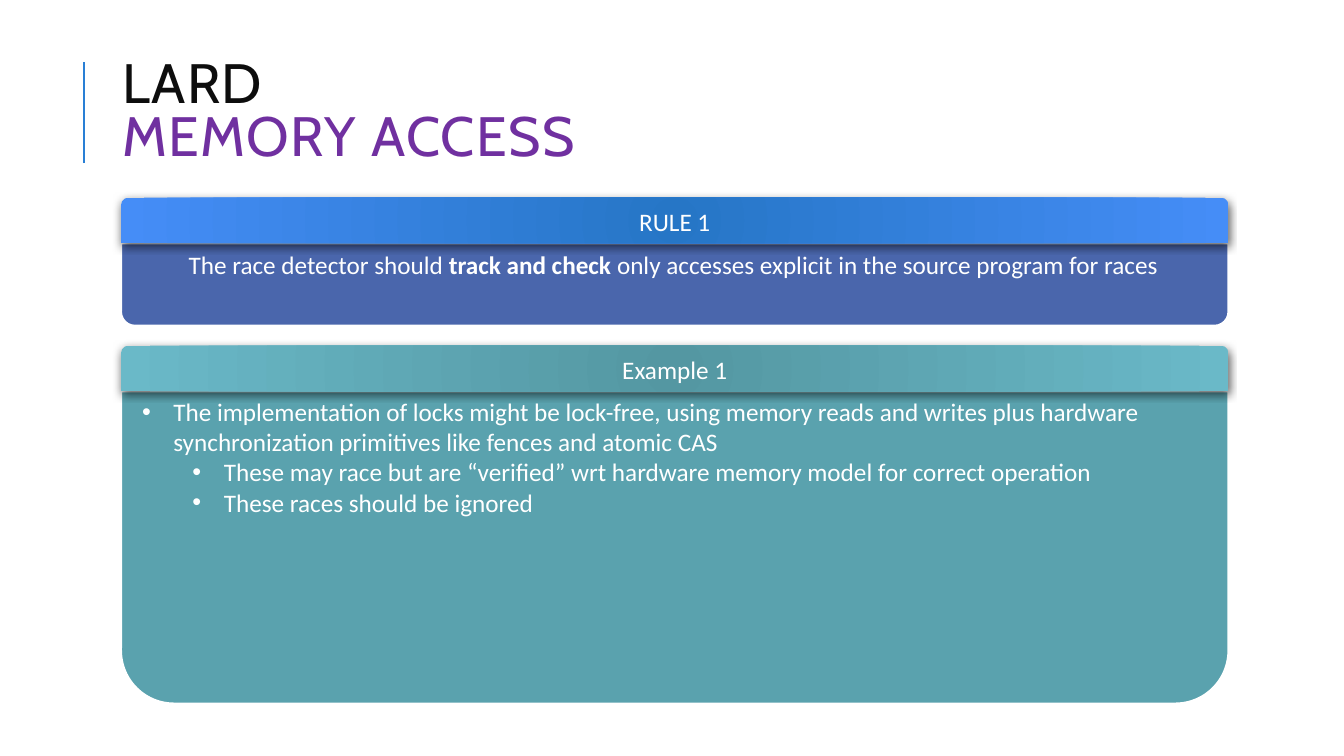
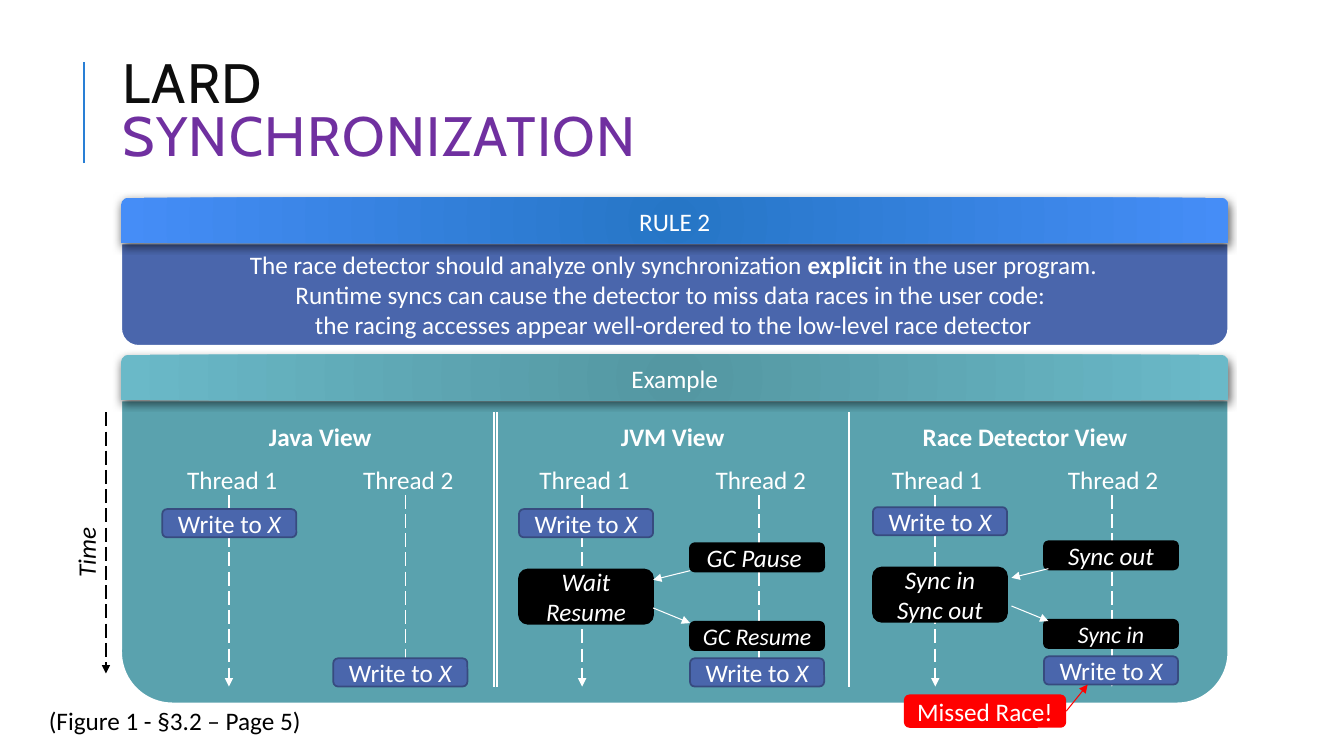
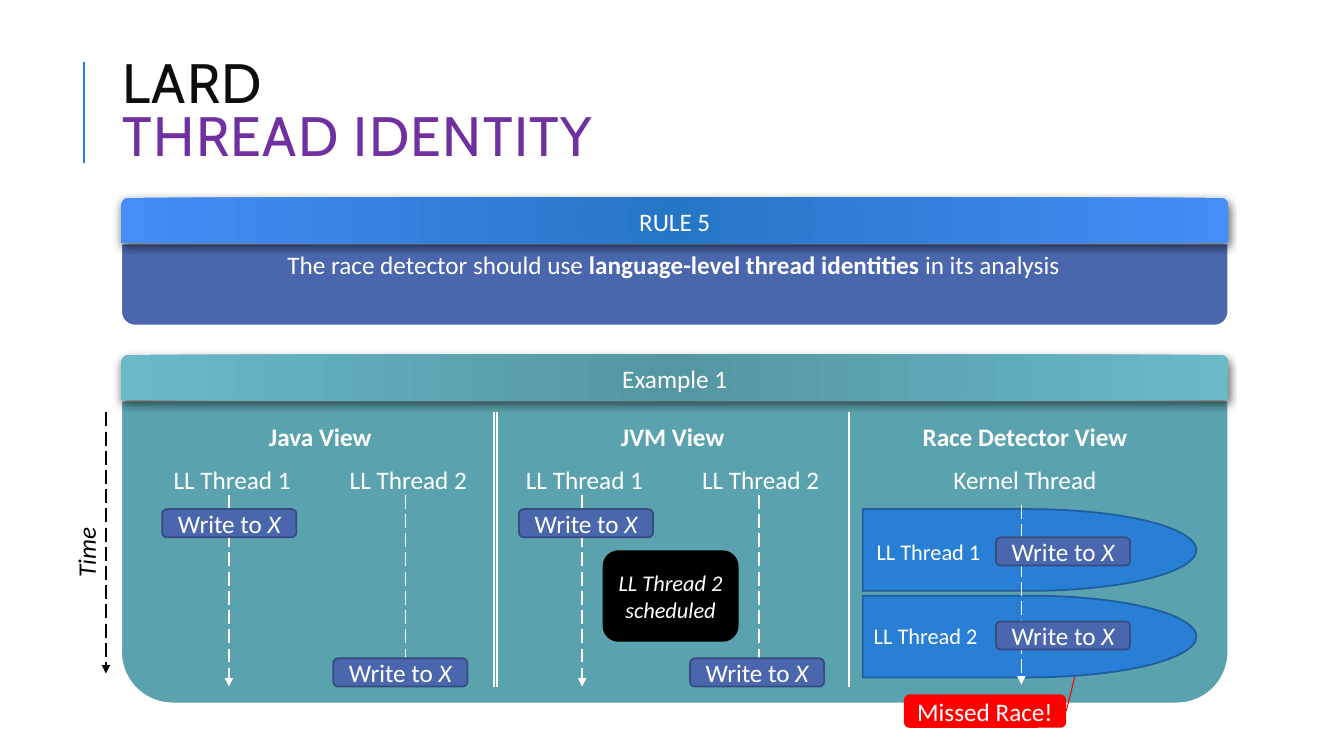
from dataclasses import dataclass

from lxml import etree
from pptx import Presentation
from pptx import util as u
from pptx.dml.color import RGBColor
from pptx.enum import dml, shapes, text
from pptx.oxml.ns import qn

CENTER, LEFT, RIGHT = text.PP_ALIGN.CENTER, text.PP_ALIGN.LEFT, text.PP_ALIGN.RIGHT
TOP, MIDDLE = text.MSO_ANCHOR.TOP, text.MSO_ANCHOR.MIDDLE
ROUNDED = shapes.MSO_SHAPE.ROUNDED_RECTANGLE
TOP_ROUNDED = shapes.MSO_SHAPE.ROUND_2_SAME_RECTANGLE
DELAY = shapes.MSO_SHAPE.FLOWCHART_DELAY
PLAIN_TABLE = "{2D5ABB26-0587-4C30-8999-92F81FD0307C}"


@dataclass(frozen=True)
class Theme:
    heading_font: str = "Cabin"
    body_font: str = "Calibri"
    heading_size: float = 39.6
    body_size: float = 18
    tight_size: float = 17
    small_size: float = 16
    white: str = "FFFFFF"
    black: str = "000000"
    heading: str = "0D0D0D"
    topic: str = "7030A0"
    accent: str = "297FD5"
    accent_edge: str = "1E5E9E"
    rule: str = "4A66AC"
    rule_edge: str = "374B7F"
    rule_band: tuple = ("2676C6", "458DF7")
    example: str = "5AA2AE"
    example_band: tuple = ("5497A2", "6AB9C8")
    alert: str = "FF0000"


T = Theme()
PANEL_LEFT, PANEL_WIDTH, PANEL_BOTTOM = 3.05, 27.91, 17.73
BAND_HEIGHT, RULE_TOP = 1.15, 4.98
TEXT_LEFT, TEXT_WIDTH = 3.33, 27.28
VIEW_TOP, VIEW_BOTTOM = 10.39, 17.3
VIEW_LEFTS = (4.09, 13.08, 22)
THREAD_GAP = 4.31
FIRST_TIMELINE, TIMELINE_STEP, TIMELINE_TOP = 5.77, 4.45, 12.47
COLUMN, ROW = 4.44, 1.09
EVENT_WIDTH, EVENT_HEIGHT = 3.38, 0.71
EARLY, LATE = 12.83, 16.59
BULLET_INDENT, LEVEL_STEP = 0.79, 1.27
WRITE = [["Write to ", ("X", {"italic": True})]]


def cm(*lengths):
    return [u.Cm(length) for length in lengths]


def write(frame, paragraphs, align=CENTER, spacing=None, levels=None, **style):
    for number, pieces in enumerate(paragraphs):
        paragraph = frame.paragraphs[0] if number == 0 else frame.add_paragraph()
        paragraph.alignment = align
        if spacing:
            paragraph.line_spacing = spacing
        if levels:
            add_bullet(paragraph, levels[number])
        for piece in [pieces] if isinstance(pieces, str) else pieces:
            if piece == "\n":
                paragraph.add_line_break()
                continue
            words, extra = (piece, {}) if isinstance(piece, str) else piece
            add_run(paragraph, words, **{**style, **extra})


def add_run(paragraph, words, size=T.body_size, font=T.body_font, color=T.white,
            bold=False, italic=False, tracking=0):
    run = paragraph.add_run()
    run.text = words
    run.font.size = u.Pt(size)
    run.font.name = font
    run.font.color.rgb = RGBColor.from_string(color)
    run.font.bold = bold
    run.font.italic = italic
    if tracking:
        run.font._element.set("spc", str(tracking * 100))


def add_bullet(paragraph, level):
    paragraph.level = level
    properties = paragraph._p.get_or_add_pPr()
    properties.set("marL", str(u.Cm(BULLET_INDENT + level * LEVEL_STEP)))
    properties.set("indent", str(-u.Cm(BULLET_INDENT)))
    etree.SubElement(properties, qn("a:buFont"), typeface="Arial")
    etree.SubElement(properties, qn("a:buChar"), char="•")


class Deck:
    def __init__(self):
        self.show = Presentation()
        self.show.slide_width, self.show.slide_height = cm(33.87, 19.05)
        self.slide = None

    def start(self, topic):
        self.slide = self.show.slides.add_slide(self.show.slide_layouts[6])
        self.line(2.11, 4.11, 2.11, 1.57, color=T.accent, width=1.5)
        self.label([["LARD", "\n", (topic, {"color": T.topic})]], 2.84, 1.63, 27, 2.49,
                   anchor=MIDDLE, grow=False, align=LEFT, spacing=0.8,
                   size=T.heading_size, font=T.heading_font, color=T.heading, tracking=1)

    def block(self, kind, left, top, width, height, fill, edge=None, weight=1.25,
              paragraphs=(), **style):
        block = self.slide.shapes.add_shape(kind, *cm(left, top, width, height))
        block.shadow.inherit = False
        block.fill.solid()
        block.fill.fore_color.rgb = RGBColor.from_string(fill)
        if edge:
            block.line.color.rgb = RGBColor.from_string(edge)
            block.line.width = u.Pt(weight)
        else:
            block.line.fill.background()
        block.text_frame.word_wrap = True
        block.text_frame.vertical_anchor = MIDDLE
        write(block.text_frame, paragraphs, **style)
        return block

    def label(self, paragraphs, left, top, width, height, anchor=TOP, grow=True,
              rotation=0, **style):
        label = self.slide.shapes.add_textbox(*cm(left, top, width, height))
        label.rotation = rotation
        frame = label.text_frame
        frame.word_wrap = True
        frame.vertical_anchor = anchor
        if grow:
            frame.auto_size = text.MSO_AUTO_SIZE.SHAPE_TO_FIT_TEXT
        write(frame, paragraphs, **style)

    def line(self, x1, y1, x2, y2, color=T.white, width=0.75, dashed=False, arrow=False):
        line = self.slide.shapes.add_connector(
            shapes.MSO_CONNECTOR.STRAIGHT, *cm(x1, y1, x2, y2))
        line.line.color.rgb = RGBColor.from_string(color)
        line.line.width = u.Pt(width)
        if dashed:
            line.line.dash_style = dml.MSO_LINE.LONG_DASH
        properties = line._element.spPr
        if arrow:
            etree.SubElement(properties.find(qn("a:ln")), qn("a:tailEnd"), type="triangle")
        etree.SubElement(properties, qn("a:effectLst"))
        return line

    def panel(self, top, height, fill):
        panel = self.block(TOP_ROUNDED, PANEL_LEFT, top, PANEL_WIDTH, height, fill,
                           T.white, 1.5)
        panel.adjustments[0], panel.adjustments[1] = 0, 0.17

    def band(self, caption, top, colors):
        band = self.block(TOP_ROUNDED, PANEL_LEFT, top, PANEL_WIDTH, BAND_HEIGHT,
                          colors[0], paragraphs=[caption])
        band.fill.gradient()
        for stop, color in zip(band.fill.gradient_stops, colors):
            stop.color.rgb = RGBColor.from_string(color)
        properties = band._element.spPr
        gradient = properties.find(qn("a:gradFill"))
        gradient.remove(gradient.find(qn("a:lin")))
        circle = etree.SubElement(gradient, qn("a:path"), path="circle")
        etree.SubElement(circle, qn("a:fillToRect"), dict.fromkeys("ltrb", "100000"))
        shadow = etree.SubElement(
            properties.find(qn("a:effectLst")), qn("a:outerShdw"),
            blurRad=str(u.Pt(6)), dist=str(u.Pt(2)), dir="5400000", rotWithShape="0")
        tint = etree.SubElement(shadow, qn("a:srgbClr"), val=T.black)
        etree.SubElement(tint, qn("a:alpha"), val="60000")

    def rule(self, caption, paragraphs, height=2.08):
        body_top = RULE_TOP + BAND_HEIGHT
        self.panel(body_top, height, T.rule)
        self.band(caption, RULE_TOP, T.rule_band)
        self.label(paragraphs, TEXT_LEFT, body_top + 0.02, TEXT_WIDTH,
                   0.25 + 0.77 * len(paragraphs))

    def example(self, caption, top=8.94):
        body_top = top + BAND_HEIGHT
        self.panel(body_top, PANEL_BOTTOM - body_top, T.example)
        self.band(caption, top, T.example_band)

    def views(self, threads):
        spans = [2, 2, 2 if len(threads) == 6 else 1]
        widths = [COLUMN] * 4 + [2 * COLUMN / spans[2]] * spans[2]
        self.line(12.52, VIEW_TOP, 12.52, VIEW_BOTTOM, width=1.5)
        holder = self.slide.shapes.add_table(
            2, len(threads), *cm(3.63, 10.52, 6 * COLUMN, 2 * ROW))
        holder._element.find(".//" + qn("a:tableStyleId")).text = PLAIN_TABLE
        table = holder.table
        table.first_row = table.horz_banding = False
        for column, width in zip(table.columns, widths):
            column.width = u.Cm(width)
        for row in table.rows:
            row.height = u.Cm(ROW)
        for cell in table.iter_cells():
            cell.fill.background()
        start = 0
        for view, span in zip(("Java View", "JVM View", "Race Detector View"), spans):
            cell = table.cell(0, start)
            if span > 1:
                cell.merge(table.cell(0, start + span - 1))
            write(cell.text_frame, [view], bold=True)
            start += span
        for column, thread in enumerate(threads):
            write(table.cell(1, column).text_frame, [thread])
        for x in (12.45, 21.39):
            self.line(x, VIEW_TOP, x, VIEW_BOTTOM, width=1.5)
        self.timeline(2.67, VIEW_TOP, 16.97, T.black)
        self.label(["Time"], 0.66, 13.41, 3.02, 1.02, rotation=270,
                   color=T.black, italic=True)
        for index in range(4 if spans[2] == 1 else 6):
            self.timeline(FIRST_TIMELINE + index * TIMELINE_STEP, TIMELINE_TOP, VIEW_BOTTOM)

    def timeline(self, x, top, bottom, color=T.white):
        self.line(x, top, x, bottom, color, 1.25, dashed=True, arrow=True)

    def access(self, left, top):
        self.block(ROUNDED, left, top, EVENT_WIDTH, EVENT_HEIGHT, T.rule, T.rule_edge,
                   paragraphs=WRITE)

    def accesses(self, view_left, lift=0):
        self.access(view_left, EARLY - lift)
        self.access(view_left + THREAD_GAP, LATE - lift)

    def event(self, paragraphs, left, top, height=EVENT_HEIGHT, size=T.body_size):
        self.block(ROUNDED, left, top, EVENT_WIDTH, height, T.black, T.black,
                   paragraphs=paragraphs, size=size, italic=True)

    def exchange(self, view_left, request, replies, answer, lift=0, nudge=0):
        other = view_left + THREAD_GAP
        self.event([request], other, 13.69 - lift)
        self.event([answer], other, 15.67 - lift, size=T.tight_size)
        self.event(replies, view_left, 14.35 - lift, 1.37)
        near, far = view_left + EVENT_WIDTH + nudge, other + nudge
        self.line(far, 14.38 - lift, near, 14.61 - lift, arrow=True)
        self.line(near, 15.32 - lift, far, 15.7 - lift, arrow=True)

    def missed_race(self, x, y):
        alert = self.block(ROUNDED, 22.78, 17.5, 4.09, 0.84, T.alert,
                           paragraphs=["Missed Race!"])
        pointer = self.line(26.87, 17.92, x, y, T.alert, arrow=True)
        pointer.begin_connect(alert, 3)


def memory_access(deck):
    deck.start("MEMORY ACCESS")
    deck.rule("RULE 1", [["The race detector should ", ("track and check ", {"bold": True}),
                          "only accesses explicit in the source program for races"]])
    deck.example("Example 1", 8.71)
    deck.label(
        ["The implementation of locks might be lock-free, using memory reads and writes "
         "plus hardware synchronization primitives like fences and atomic CAS",
         "These may race but are “verified” wrt hardware memory model for correct operation",
         "These races should be ignored"],
        TEXT_LEFT, 9.86, TEXT_WIDTH, 4.11, align=LEFT, levels=(0, 1, 1))


def synchronization(deck):
    deck.start("SYNCHRONIZATION")
    deck.rule("RULE 2", [
        ["The race detector should analyze only synchronization ",
         ("explicit", {"bold": True}), " in the user program."],
        "Runtime syncs can cause the detector to miss data races in the user code: ",
        "the racing accesses appear well-ordered to the low-level race detector"], 2.59)
    deck.example("Example")
    deck.views(["Thread 1", "Thread 2"] * 3)
    java, jvm, detector = VIEW_LEFTS
    lift = 0.05
    deck.accesses(java)
    deck.accesses(jvm)
    deck.accesses(detector, lift)
    deck.exchange(jvm, "GC Pause ", ["Wait", "Resume"], "GC Resume")
    deck.exchange(detector, "Sync out", ["Sync in", "Sync out"], "Sync in", lift, 0.11)
    deck.missed_race(27.41, 17.25)
    deck.label(["(Figure 1 - §3.2 – Page 5)"], 0.36, 17.65, 7.47, 1.02,
               align=RIGHT, color=T.black)


def thread_identity(deck):
    deck.start("THREAD IDENTITY")
    deck.rule("RULE 5", [["The race detector should use ",
                          ("language-level thread identities ", {"bold": True}),
                          "in its analysis"]])
    deck.example("Example 1")
    deck.views(["LL Thread 1", "LL Thread 2"] * 2 + ["Kernel Thread"])
    java, jvm, _ = VIEW_LEFTS
    deck.accesses(java)
    deck.accesses(jvm)
    deck.missed_race(27.23, 16.48)
    for top in (EARLY, 15.01):
        deck.block(DELAY, 21.74, top, 8.41, 2.06, T.accent, T.accent_edge)
    deck.timeline(25.74, 12.73, 17.25)
    for thread, left, top in (("LL Thread 1", 21.84, 13.54), ("LL Thread 2", 21.77, 15.66)):
        deck.access(25.1, top)
        deck.label([thread], left, top - 0.11, 3.25, 0.94, align=LEFT, size=T.small_size)
    deck.event(["LL Thread 2 scheduled"], 15.21, 13.89, 2.26, T.small_size)


def main():
    deck = Deck()
    memory_access(deck)
    synchronization(deck)
    thread_identity(deck)
    deck.show.save("out.pptx")


if __name__ == "__main__":
    main()
